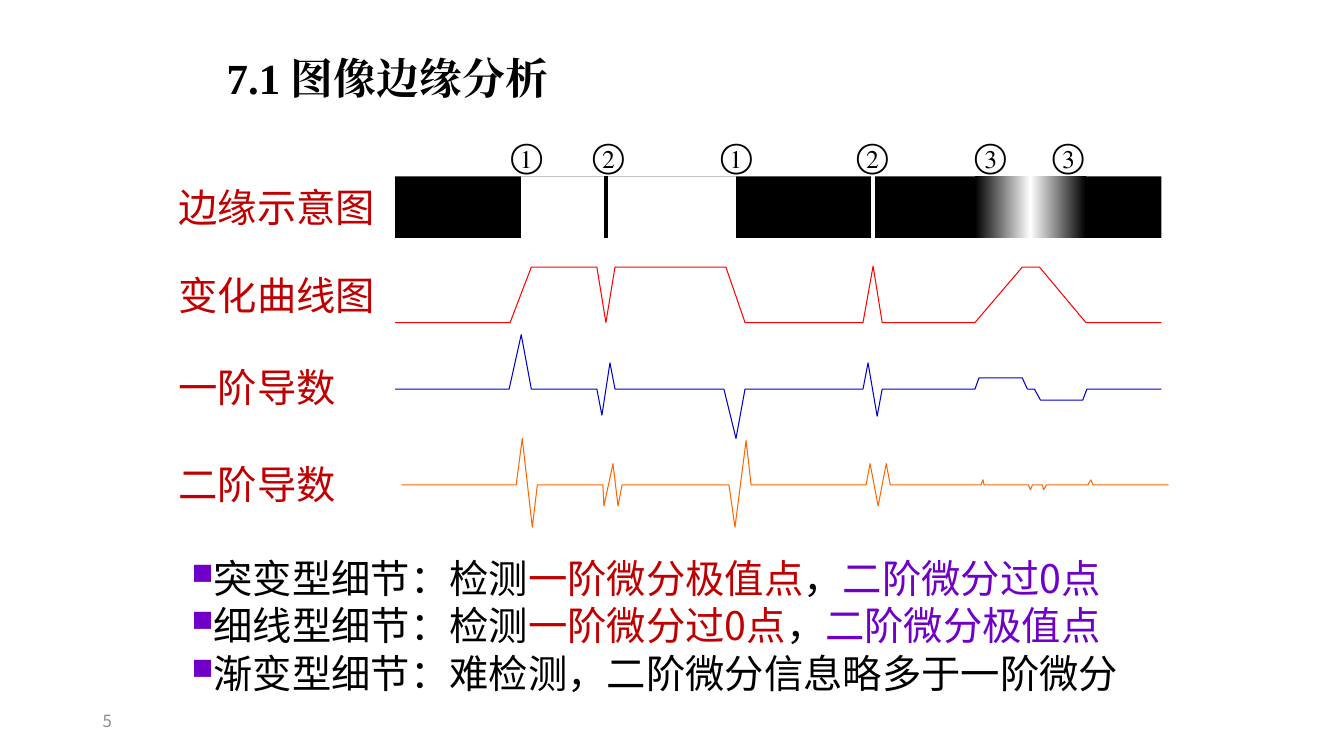
from lxml import etree
from pptx import Presentation
from pptx import util as u
from pptx.dml.color import RGBColor
from pptx.enum import shapes, text
from pptx.oxml.ns import qn

# Lengths are columns and rows of a grid with cells of 0.1 inch.
CELL = u.Inches(0.1)
SANS, SERIF = "Noto Sans CJK SC", "Times New Roman"
BLACK, WHITE, RED, VIOLET = "000000", "FFFFFF", "C00000", "7000C8"
LEFT, RIGHT = 39.2, 115.2
BAR_TOP, BAR_H = 17.5, 6.1

LABELS = [("边缘示意图", 18.1), ("变化曲线图", 26.8),
          ("一阶导数", 36), ("二阶导数", 45.6)]
MARKS = [("①", 48.9), ("②", 57), ("①", 69.7),
         ("②", 83.2), ("③", 94.9), ("③", 102.6)]

# Each curve: colour, left end, right end, base row, (column, rise) points
CURVES = [
    ("FF0000", LEFT, RIGHT, 32, [
        (50.6, 0), (52.7, 5.5), (59.2, 5.5), (60.1, 0), (61, 5.5),
        (72, 5.5), (73.9, 0), (85.6, 0), (86.6, 5.6), (87.5, 0),
        (96.7, 0), (101.4, 5.5), (103.1, 5.5), (107.7, 0)]),
    ("0000C8", LEFT, RIGHT, 38.6, [
        (50.5, 0), (51.7, 5.4), (52.7, 0), (59.2, 0), (59.7, -2.6),
        (60.5, 2.6), (61, 0), (71.8, 0), (73, -4.9), (73.9, 0),
        (85.6, 0), (86.1, 2.6), (87, -2.7), (87.5, 0), (96.7, 0),
        (97.1, 1.1), (101.4, 1.1), (101.9, 0), (102.6, 0),
        (103.2, -1.1), (107.4, -1.1), (107.8, 0)]),
    ("FF6600", 39.8, 115.9, 48.1, [
        (51.2, 0), (51.8, 4.6), (52.8, -4.2), (53.3, 0), (59.8, 0),
        (59.9, -2.1), (60.8, 2.1), (61.3, -2.1), (61.7, 0), (72.3, 0),
        (72.9, -4.2), (74, 4.4), (74.5, 0), (85.9, 0), (86.3, 2.1),
        (87.1, -2.1), (87.9, 2.1), (88.3, 0), (97.3, 0), (97.5, 0.5),
        (97.6, 0), (102, 0), (102.2, -0.5), (102.4, 0), (103.4, 0),
        (103.5, -0.5), (103.8, 0), (107.9, 0), (108.2, 0.5), (108.4, 0)]),
]

NOTES = [
    [("突变型细节：检测", BLACK), ("一阶微分极值点", RED),
     ("，", BLACK), ("二阶微分过0点", VIOLET)],
    [("细线型细节：检测", BLACK), ("一阶微分过0点", RED),
     ("，", BLACK), ("二阶微分极值点", VIOLET)],
    [("渐变型细节：难检测，二阶微分信息略多于一阶微分", BLACK)],
]


def grid(*cells):
    return [round(c * CELL) for c in cells]


def rgb(code):
    return RGBColor.from_string(code)


def style(para, size, face, colour, bold=False):
    """Set the paragraph's font for both Latin and Chinese letters."""
    font = para.font
    font.size, font.name, font.bold = u.Pt(size), face, bold
    font.color.rgb = rgb(colour)
    base = para._p.pPr.find(qn("a:defRPr"))
    etree.SubElement(base, qn("a:ea"), typeface=face)


def inset(frame, side, top):
    frame.margin_left = frame.margin_right = u.Inches(side)
    frame.margin_top = frame.margin_bottom = u.Inches(top)


def label(slide, words, box, size, face, colour, pad=(0, 0), bold=False):
    frame = slide.shapes.add_textbox(*grid(*box)).text_frame
    frame.vertical_anchor = text.MSO_ANCHOR.MIDDLE
    inset(frame, *pad)
    para = frame.paragraphs[0]
    para.text = words
    style(para, size, face, colour, bold)


def block(slide, box, colour):
    rect = slide.shapes.add_shape(shapes.MSO_SHAPE.RECTANGLE, *grid(*box))
    rect.shadow.inherit = False
    rect.line.fill.background()
    rect.fill.solid()
    rect.fill.fore_color.rgb = rgb(colour)
    return rect


def fade(slide, box):
    """Draw a block that runs from black to white and back."""
    fill = block(slide, box, BLACK).fill
    fill.gradient()
    fill.gradient_angle = 0
    stops = fill._fill._gradFill.find(qn("a:gsLst"))
    for stop in list(stops):
        stops.remove(stop)
    for share, colour in [(0, BLACK), (50, WHITE), (100, BLACK)]:
        stop = etree.SubElement(stops, qn("a:gs"), pos=str(share * 1000))
        etree.SubElement(stop, qn("a:srgbClr"), val=colour)


def stripe(slide, col, colour):
    ends = grid(col, BAR_TOP, col, BAR_TOP + BAR_H)
    line = slide.shapes.add_connector(shapes.MSO_CONNECTOR.STRAIGHT, *ends)
    line.line.color.rgb = rgb(colour)
    line.line.width = u.Pt(3)
    etree.SubElement(line._element.spPr, qn("a:effectLst"))


def curve(slide, colour, left, right, base, points):
    path = [grid(x, base - rise) for x, rise in points + [(right, 0)]]
    pen = slide.shapes.build_freeform(*grid(left, base))
    pen.add_line_segments(path, close=False)
    shape = pen.convert_to_shape()
    shape.shadow.inherit = False
    shape.fill.background()
    shape.line.color.rgb = rgb(colour)
    shape.line.width = u.Pt(0.75)


def mark(slide, sign, col):
    frame = block(slide, (col, 13.4, 6.7, 4), WHITE).text_frame
    frame.vertical_anchor = text.MSO_ANCHOR.TOP
    inset(frame, 0, 0)
    para = frame.paragraphs[0]
    para.text = sign
    para.alignment = text.PP_ALIGN.CENTER
    style(para, 24.2, SERIF, BLACK)


def bullet(para):
    props = para._p.get_or_add_pPr()
    tint = etree.SubElement(props, qn("a:buClr"))
    etree.SubElement(tint, qn("a:srgbClr"), val=VIOLET)
    etree.SubElement(props, qn("a:buSzPct"), val="75000")
    etree.SubElement(props, qn("a:buChar"), char="■")


def notes(slide, box):
    frame = slide.shapes.add_textbox(*grid(*box)).text_frame
    frame.word_wrap = True
    inset(frame, 0.13, 0.08)
    for i, parts in enumerate(NOTES):
        para = frame.add_paragraph() if i else frame.paragraphs[0]
        bullet(para)
        para.line_spacing = u.Pt(34)
        style(para, 28.1, SANS, BLACK)
        for words, colour in parts:
            run = para.add_run()
            run.text = words
            run.font.color.rgb = rgb(colour)


def edges(slide):
    """Draw the bar with its sharp, thin and gradual edges."""
    block(slide, (LEFT, BAR_TOP, RIGHT - LEFT, BAR_H), BLACK)
    block(slide, (51.7, BAR_TOP, 21.3, BAR_H), WHITE)
    stripe(slide, 86.6, WHITE)
    stripe(slide, 60.1, BLACK)
    fade(slide, (96.7, BAR_TOP, 11, BAR_H))
    for sign, col in MARKS:
        mark(slide, sign, col)


def main():
    deck = Presentation()
    deck.slide_width, deck.slide_height = u.Inches(13.33), u.Inches(7.5)
    slide = deck.slides.add_slide(deck.slide_layouts[6])
    label(slide, "7.1 图像边缘分析", (21.5, 3.3, 44.3, 8.7),
          30.6, SERIF, BLACK, (0.1, 0.05), True)
    edges(slide)
    for words, row in LABELS:
        label(slide, words, (17.7, row, 20.1, 4.8), 28.1, SANS, RED)
    for line in CURVES:
        curve(slide, *line)
    notes(slide, (17.7, 54.1, 98.2, 15.5))
    label(slide, "5", (9.2, 69.5, 30, 4), 12, SANS, "8C8C8C", (0.1, 0.05))
    deck.save("out.pptx")


if __name__ == "__main__":
    main()
